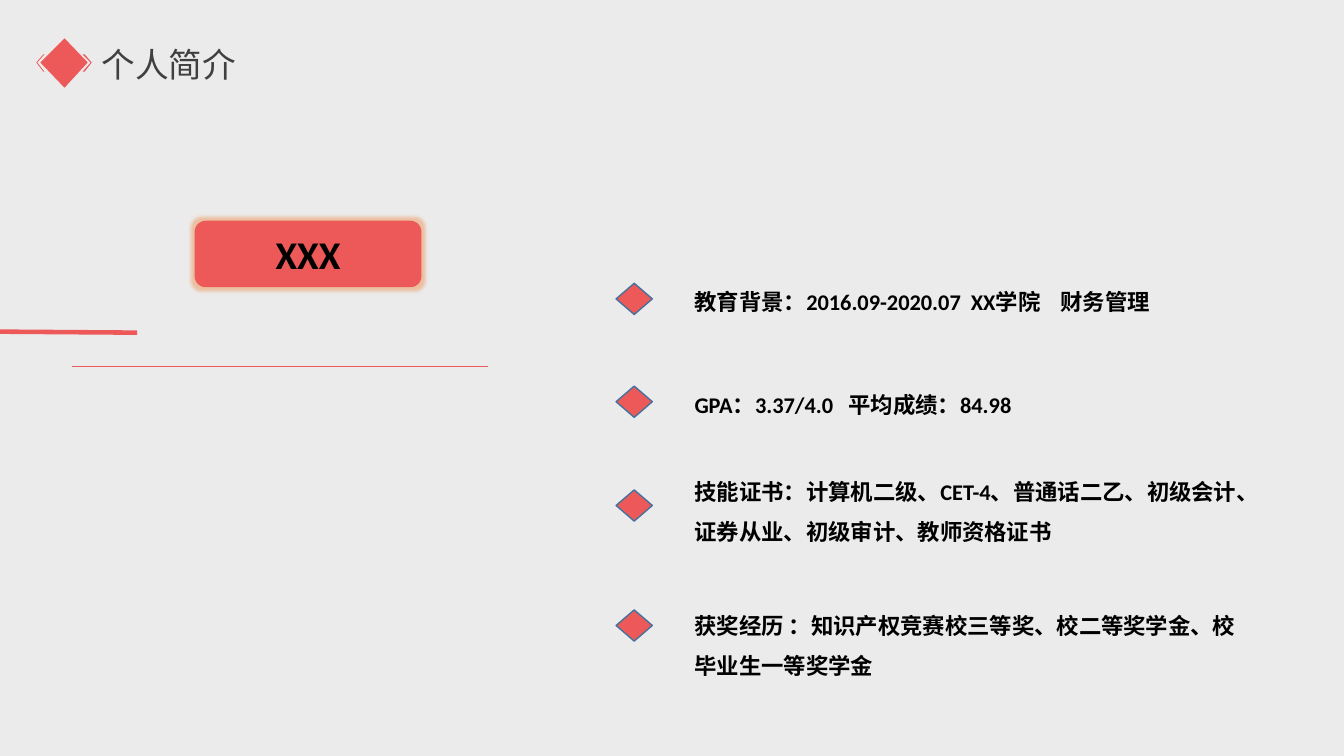
import pptx
import pptx.dml.color
import pptx.enum.shapes
import pptx.enum.text
import pptx.oxml
import pptx.oxml.ns
import pptx.util

RGB = pptx.dml.color.RGBColor
SHAPE = pptx.enum.shapes.MSO_SHAPE
FIT = pptx.enum.text.MSO_AUTO_SIZE
ALIGN = pptx.enum.text.PP_ALIGN

CORAL = RGB(0xED, 0x58, 0x58)
STEEL = RGB(0x43, 0x73, 0x9E)
GREY = RGB(0xEB, 0xEB, 0xEB)
DARK = RGB(0x40, 0x40, 0x40)
BLACK = RGB(0, 0, 0)
CJK = "Noto Sans CJK SC"
GLOW = '<a:glow %s rad="63500"><a:srgbClr val="ED7D31"><a:alpha val="40000"/></a:srgbClr></a:glow>'

TITLE = "个人简介"
NAME = "XXX"
# text, marker top, text top, text width, text height, line spacing (shares in %)
ITEMS = [
    ("教育背景：2016.09-2020.07  XX学院    财务管理", 37.47, 37.47, 39.68, 4.93, None),
    ("GPA：3.37/4.0   平均成绩：84.98", 51.07, 51.07, 39.98, 4.93, None),
    ("技能证书：计算机二级、CET-4、普通话二乙、初级会计、证券从业、初级审计、教师资格证书",
     64.8, 60.8, 44.64, 12.13, 1.5),
    ("获奖经历 ：知识产权竞赛校三等奖、校二等奖学金、校毕业生一等奖学金",
     80.67, 78.53, 42.01, 12.13, 1.5),
]
MARKER_LEFT, MARKER_W, MARKER_H = 45.84, 2.7, 4.13
ITEM_LEFT = 50.94
RULES = [(0, 43.87, 10.2, 44, 3.25), (5.33, 48.4, 36.31, 48.4, 0.5)]
EMBLEM_X, EMBLEM_Y = 63.5, 62.5
CHEVRON = [(19, -8.5), (20.5, -8.5), (27.5, 0), (20.5, 8.5), (19, 8.5), (26.5, 0)]
DIAMOND = [(0, -24.5), (23.5, 0), (0, 24.5), (-23.5, 0)]

prs = pptx.Presentation()
prs.slide_width = pptx.util.Inches(13.33)
prs.slide_height = pptx.util.Inches(7.5)
s = prs.slides.add_slide(prs.slide_layouts[6])
s.background.fill.solid()
s.background.fill.fore_color.rgb = GREY


def place(*shares):
    """Turn alternating x and y percentages into slide lengths."""
    sides = (prs.slide_width, prs.slide_height) * 2
    return [int(side * share / 100) for side, share in zip(sides, shares)]


def paint(sp, line=None):
    """Fill a shape with coral and outline it if a line colour is given."""
    sp.shadow.inherit = False
    sp.fill.solid()
    sp.fill.fore_color.rgb = CORAL
    if line is None:
        sp.line.fill.background()
    else:
        sp.line.color.rgb = line
        sp.line.width = pptx.util.Pt(1)
    return sp


def add_text(text, box, size=16, font="Calibri", color=BLACK, bold=True,
             align=None, spacing=None, wrap=True):
    """Add a text box holding one formatted paragraph."""
    tf = s.shapes.add_textbox(*place(*box)).text_frame
    tf.word_wrap = wrap
    tf.auto_size = FIT.SHAPE_TO_FIT_TEXT
    p = tf.paragraphs[0]
    p.alignment = align
    p.line_spacing = spacing
    r = p.add_run()
    r.text = text
    r.font.size = pptx.util.Pt(size)
    r.font.name = font
    r.font.bold = bold
    r.font.color.rgb = color
    ea = pptx.oxml.parse_xml('<a:ea %s typeface="%s"/>' % (pptx.oxml.ns.nsdecls("a"), CJK))
    r.font._element.append(ea)


def add_emblem():
    """Draw the title diamond between two mirrored chevrons."""
    mirrored = [(-x, y) for x, y in CHEVRON]
    outlines = [[(EMBLEM_X + x, EMBLEM_Y + y) for x, y in part]
                for part in (CHEVRON, mirrored, DIAMOND)]
    pen = s.shapes.build_freeform(*outlines[0][0], scale=pptx.util.Inches(0.01))
    for i, outline in enumerate(outlines):
        if i:
            pen.move_to(*outline[0])
        pen.add_line_segments(outline[1:], close=True)
    paint(pen.convert_to_shape())


def add_rule(x1, y1, x2, y2, width):
    """Draw a coral straight line."""
    c = s.shapes.add_connector(pptx.enum.shapes.MSO_CONNECTOR.STRAIGHT, *place(x1, y1, x2, y2))
    c.line.color.rgb = CORAL
    c.line.width = pptx.util.Pt(width)
    c._element.spPr.append(pptx.oxml.parse_xml("<a:effectLst %s/>" % pptx.oxml.ns.nsdecls("a")))


add_emblem()
add_text(TITLE, (6.83, 5.2, 11.48, 6.67), size=24, font=CJK, color=DARK, bold=False, wrap=False)

badge = paint(s.shapes.add_shape(SHAPE.ROUNDED_RECTANGLE, *place(14.48, 29.2, 16.88, 8.8)))
effects = badge._element.spPr.find(pptx.oxml.ns.qn("a:effectLst"))
effects.append(pptx.oxml.parse_xml(GLOW % pptx.oxml.ns.nsdecls("a")))
add_text(NAME, (14.85, 29.87, 16.13, 7.6), size=28, align=ALIGN.CENTER)

for text, marker_top, top, width, height, spacing in ITEMS:
    marker = place(MARKER_LEFT, marker_top, MARKER_W, MARKER_H)
    paint(s.shapes.add_shape(SHAPE.DIAMOND, *marker), line=STEEL)
    add_text(text, (ITEM_LEFT, top, width, height), spacing=spacing)

for rule in RULES:
    add_rule(*rule)

prs.save("out.pptx")
